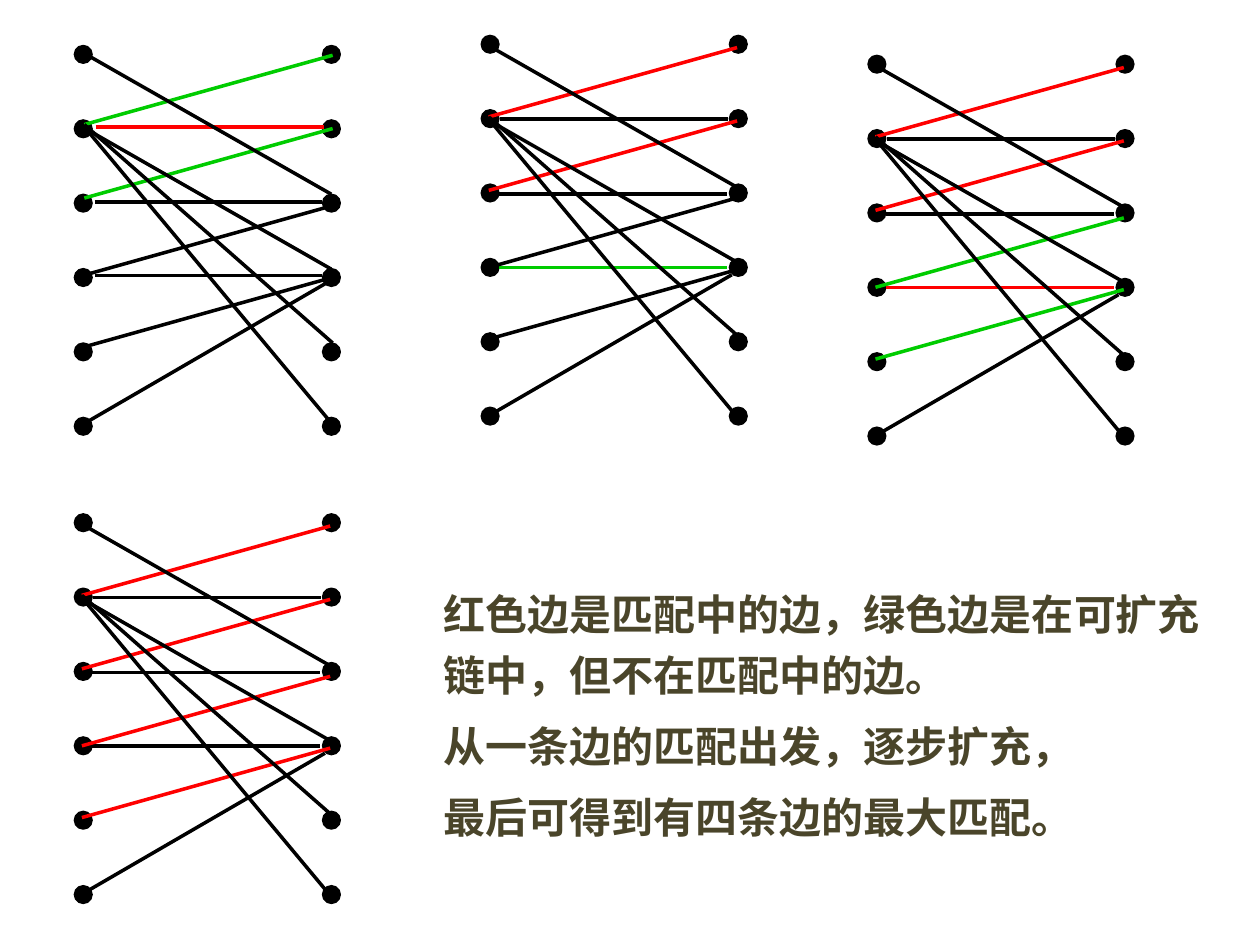
from dataclasses import dataclass

from pptx import Presentation
from pptx.dml.color import RGBColor as RGB
from pptx.enum.shapes import MSO_CONNECTOR as CONN, MSO_SHAPE as SHAPE
from pptx.enum.text import MSO_ANCHOR as ANCHOR, MSO_AUTO_SIZE as FIT
from pptx.oxml.ns import qn
from pptx.util import Pt


@dataclass(frozen=True)
class Theme:
    """Colours, type and line sizes of the slide."""
    node: RGB = RGB(0, 0, 0)
    plain: RGB = RGB(0, 0, 0)
    matched: RGB = RGB(0xFF, 0, 0)
    augmenting: RGB = RGB(0, 0xCC, 0)
    text: RGB = RGB(0x4A, 0x45, 0x2A)
    font: str = "Calibri"
    body_size: int = 24
    edge_width: float = 2
    node_line: float = 0.75


THEME = Theme()
NODE = 10.2
ROW_GAP, COLUMN_GAP, ROWS = 42.5, 141.8, 6

EDGES = {
    "2-2": (10.8, 47.9, 141.1, 47.9),
    "3-3": (10.1, 90.7, 140.4, 90.7),
    "4-4": (10.1, 132.7, 140.4, 132.7),
    "2-1": (4.3, 46.6, 146.2, 7),
    "3-2": (4.3, 88.6, 146.2, 48.9),
    "4-3": (4.3, 132.6, 146.2, 92.9),
    "5-4": (4.3, 173.6, 146.2, 133.9),
    "1-3": (6.5, 7.2, 145.4, 86.4),
    "2-4": (6.5, 49.8, 145.4, 129.2),
    "6-4": (143.2, 136.8, 5, 217),
    "2-6": (4.3, 47.9, 146.2, 218.1),
    "2-5": (4.3, 46.6, 146.2, 171.4),
}

# left, top, edge shift (x, y), matched edges, augmenting edges
STEPS = [
    (42.5, 26, (1.4, -1.4), {"2-2"}, {"2-1", "3-2"}),
    (275, 20.2, (0, 0), {"2-1", "3-2"}, {"4-4"}),
    (496, 31.6, (0, 0), {"2-1", "3-2", "4-4"}, {"4-3", "5-4"}),
    (42.5, 293.6, (0, 0), {"2-1", "3-2", "4-3", "5-4"}, set()),
]

NOTES = [
    "红色边是匹配中的边，绿色边是在可扩充链中，但不在匹配中的边。",
    "从一条边的匹配出发，逐步扩充，",
    "最后可得到有四条边的最大匹配。",
]


def add_node(shapes, x, y):
    """Draw one vertex with its top left corner at x, y."""
    sp = shapes.add_shape(SHAPE.OVAL, Pt(x), Pt(y), Pt(NODE), Pt(NODE))
    sp.shadow.inherit = False
    sp.fill.solid()
    sp.fill.fore_color.rgb = THEME.node
    sp.line.color.rgb = THEME.node
    sp.line.width = Pt(THEME.node_line)


def add_edge(shapes, ends, color):
    """Draw one straight edge between two points."""
    line = shapes.add_connector(CONN.STRAIGHT, *map(Pt, ends))
    line.line.color.rgb = color
    line.line.width = Pt(THEME.edge_width)
    sp_pr = line._element.spPr
    sp_pr.append(sp_pr.makeelement(qn("a:effectLst"), {}))


def add_graph(s, left, top, shift, matched, augmenting):
    """Draw one step of the matching as a grouped bipartite graph."""
    shapes = s.shapes.add_group_shape().shapes
    for column in range(2):
        for row in range(ROWS):
            add_node(shapes, left + column * COLUMN_GAP, top + row * ROW_GAP)
    dx, dy = left + shift[0], top + shift[1]
    for name, (x1, y1, x2, y2) in EDGES.items():
        color = (THEME.matched if name in matched else
                 THEME.augmenting if name in augmenting else THEME.plain)
        add_edge(shapes, (x1 + dx, y1 + dy, x2 + dx, y2 + dy), color)


def add_notes_text(sp, left, top, width, height):
    """Place the explanation in the body placeholder."""
    box = dict(left=left, top=top, width=width, height=height)
    for name, value in box.items():
        setattr(sp, name, Pt(value))
    tf = sp.text_frame
    frame = dict(word_wrap=True, auto_size=FIT.NONE, vertical_anchor=ANCHOR.TOP)
    for name, value in frame.items():
        setattr(tf, name, value)
    style = dict(name=THEME.font, size=Pt(THEME.body_size), bold=True)
    for i, text in enumerate(NOTES):
        p = tf.add_paragraph() if i else tf.paragraphs[0]
        p.line_spacing = 1.2
        p.space_before = Pt(6 if i else 0)
        p_pr = p._p.get_or_add_pPr()
        p_pr.set("marL", "0")
        p_pr.set("indent", "0")
        p_pr.append(p_pr.makeelement(qn("a:buNone"), {}))
        r = p.add_run()
        r.text = text
        for name, value in style.items():
            setattr(r.font, name, value)
        r.font.color.rgb = THEME.text


def main():
    """Build and save the slide."""
    prs = Presentation()
    prs.slide_width, prs.slide_height = Pt(720), Pt(540)
    s = prs.slides.add_slide(prs.slide_layouts[1])
    title = s.shapes.title._element
    title.getparent().remove(title)
    for step in STEPS:
        add_graph(s, *step)
    add_notes_text(s.placeholders[1], 246.5, 327, 451.5, 158.5)
    prs.save("out.pptx")


if __name__ == "__main__":
    main()
